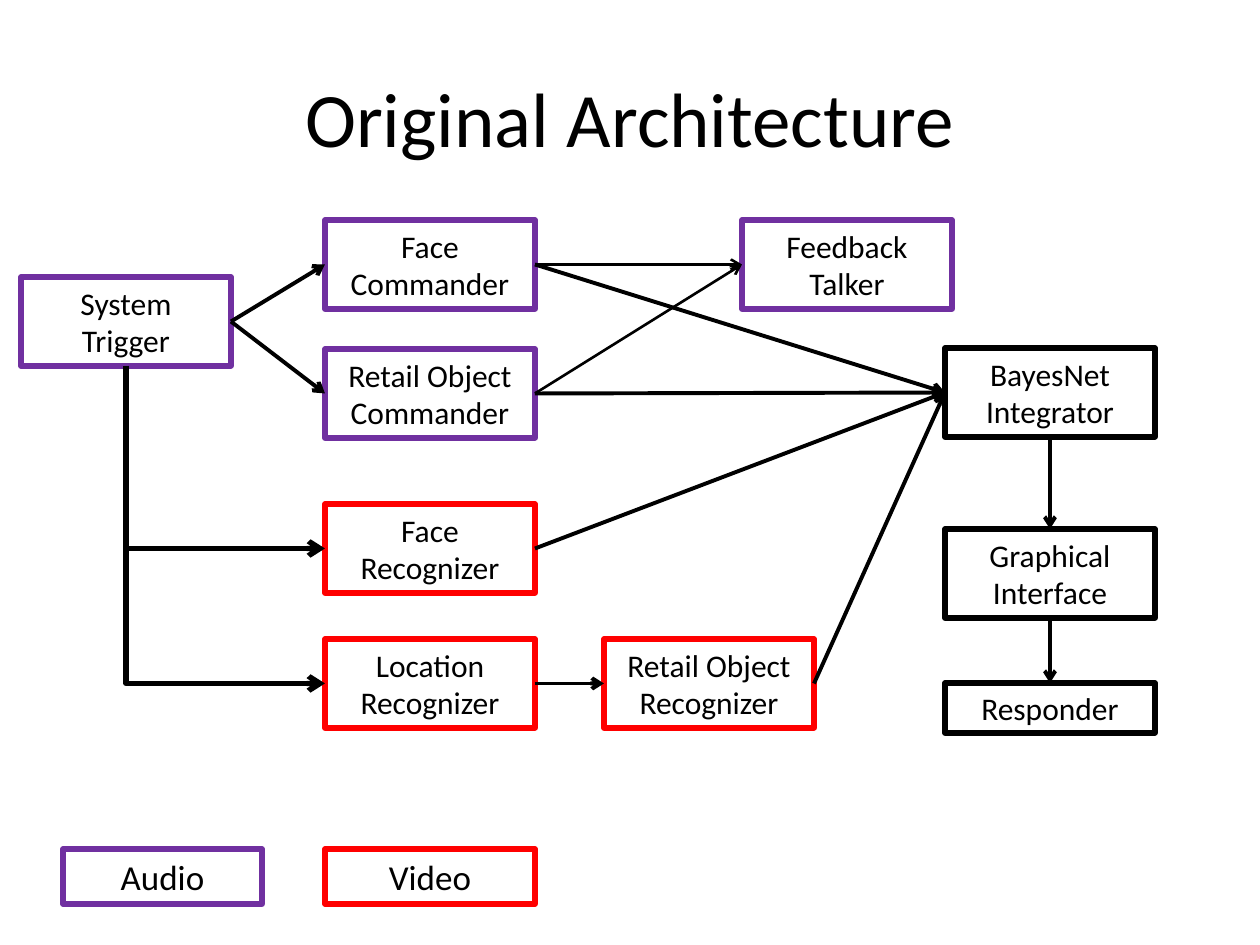
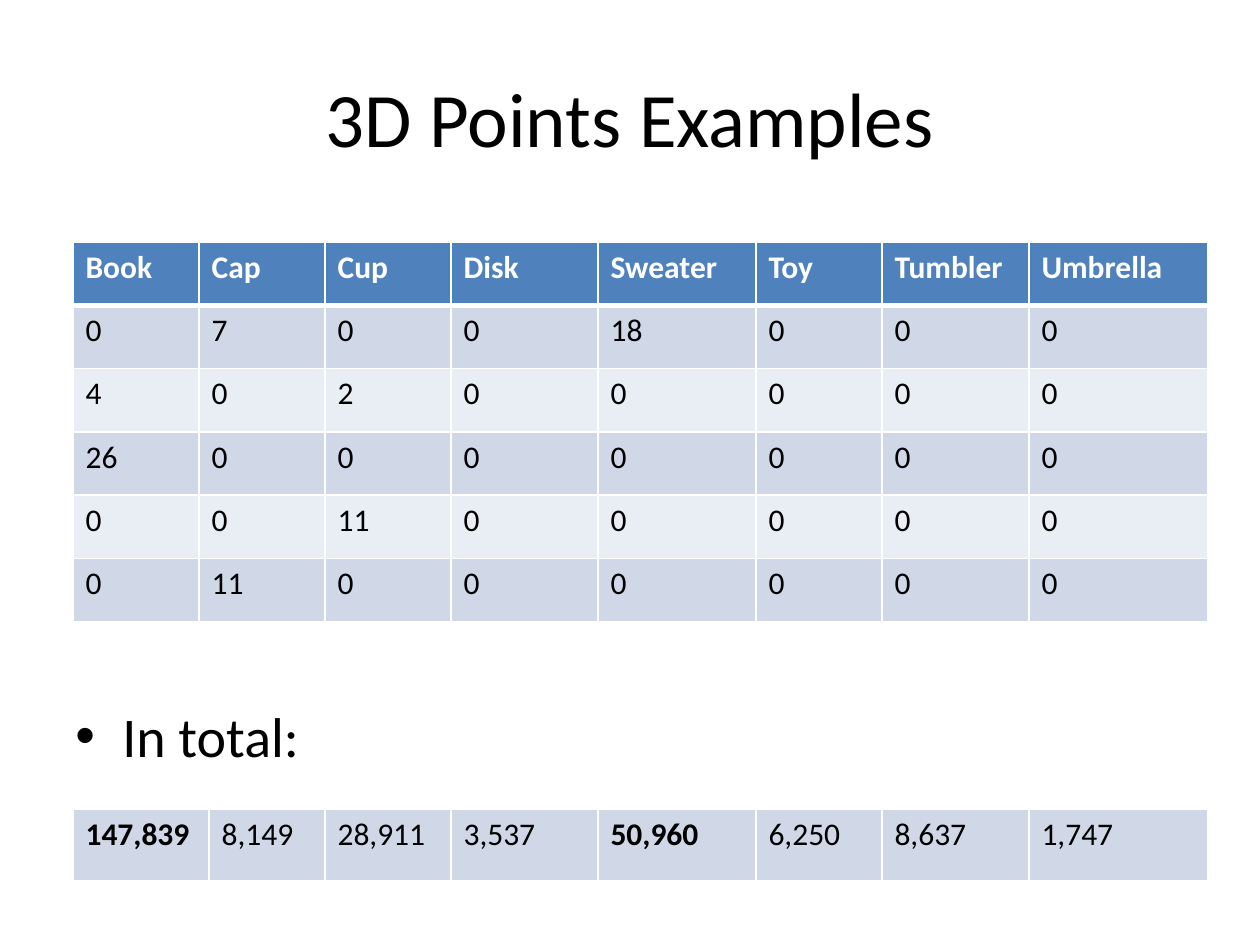
import pptx
import pptx.util
import pptx.dml.color
import pptx.enum.shapes
import pptx.enum.text
import pptx.oxml.ns
import lxml.etree

COLOURS = {
    "text": "000000", "paper": "FFFFFF", "audio": "7030A0", "video": "FF0000",
    "output": "000000", "header": "4F81BD", "band_dark": "D0D8E8", "band_light": "E9EDF4",
}
FONT = "Calibri"
SCALE = 914400 / 126
TITLE_BOX = (63, 38, 1134, 157)
TOP, LEFT, BOTTOM, RIGHT = range(4)
CENTRE = pptx.enum.text.PP_ALIGN.CENTER
MIDDLE = pptx.enum.text.MSO_ANCHOR.MIDDLE
CONNECTOR = pptx.enum.shapes.MSO_CONNECTOR

NODE_WIDTH, NODE_HEIGHT = 210, 89
NODES = {
    "trigger": ("System\nTrigger", 0, 57, NODE_HEIGHT, "audio"),
    "face commander": ("Face\nCommander", 304, 0, NODE_HEIGHT, "audio"),
    "object commander": ("Retail Object\nCommander", 304, 129, NODE_HEIGHT, "audio"),
    "talker": ("Feedback\nTalker", 721, 0, NODE_HEIGHT, "audio"),
    "face recognizer": ("Face\nRecognizer", 304, 284, NODE_HEIGHT, "video"),
    "location recognizer": ("Location\nRecognizer", 304, 419, NODE_HEIGHT, "video"),
    "object recognizer": ("Retail Object\nRecognizer", 583, 419, NODE_HEIGHT, "video"),
    "integrator": ("BayesNet\nIntegrator", 924, 128, NODE_HEIGHT, "output"),
    "interface": ("Graphical Interface", 924, 309, NODE_HEIGHT, "output"),
    "responder": ("Responder", 924, 463, 50, "output"),
}
SIDEWAYS_ARROWS = [
    ("trigger", "face commander", 2.25),
    ("trigger", "object commander", 2.25),
    ("face commander", "talker", 1.5),
    ("object commander", "talker", 1.5),
    ("location recognizer", "object recognizer", 2.25),
    ("face commander", "integrator", 2.25),
    ("object commander", "integrator", 2.25),
    ("face recognizer", "integrator", 2.25),
    ("object recognizer", "integrator", 2.25),
]
DOWNWARD_ARROWS = [("integrator", "interface"), ("interface", "responder")]
BENT_ARROWS = [("trigger", "face recognizer"), ("trigger", "location recognizer")]

POINT_COLUMNS = [126, 126, 126, 147, 158, 126, 147, 179]
TOTAL_COLUMNS = [136, 116] + POINT_COLUMNS[2:]
POINTS = [
    ["Book", "Cap", "Cup", "Disk", "Sweater", "Toy", "Tumbler", "Umbrella"],
    [0, 7, 0, 0, 18, 0, 0, 0],
    [4, 0, 2, 0, 0, 0, 0, 0],
    [26, 0, 0, 0, 0, 0, 0, 0],
    [0, 0, 11, 0, 0, 0, 0, 0],
    [0, 11, 0, 0, 0, 0, 0, 0],
]
TOTALS = [["147,839", "8,149", "28,911", "3,537", "50,960", "6,250", "8,637", "1,747"]]


def emu(pixels):
    return pptx.util.Emu(round(pixels * SCALE))


def colour(name):
    return pptx.dml.color.RGBColor.from_string(COLOURS[name])


def add_child(parent, tag, **attributes):
    return lxml.etree.SubElement(parent, pptx.oxml.ns.qn(tag), attributes)


def write(text_frame, text, size, name="text", bold=False, alignment=None):
    text_frame.text = text
    text_frame.word_wrap = True
    for paragraph in text_frame.paragraphs:
        paragraph.alignment = alignment
        for run in paragraph.runs:
            run.font.name = FONT
            run.font.size = pptx.util.Pt(size)
            run.font.bold = bold
            run.font.color.rgb = colour(name)


def add_title(slide, text, box):
    shape = slide.shapes.add_textbox(*map(emu, box))
    write(shape.text_frame, text, 44, alignment=CENTRE)
    shape.text_frame.vertical_anchor = MIDDLE


def add_bullet(slide, text, box):
    shape = slide.shapes.add_textbox(*map(emu, box))
    write(shape.text_frame, text, 32)
    properties = shape.text_frame.paragraphs[0]._p.get_or_add_pPr()
    indent = emu(47)
    properties.set("marL", str(indent))
    properties.set("indent", str(-indent))
    add_child(properties, "a:buFont", typeface="Arial")
    add_child(properties, "a:buChar", char="•")


def add_node(slide, text, box, outline, size=18):
    shape = slide.shapes.add_shape(
        pptx.enum.shapes.MSO_SHAPE.RECTANGLE, *map(emu, box))
    shape.shadow.inherit = False
    shape.fill.background()
    shape.line.color.rgb = colour(outline)
    shape.line.width = pptx.util.Pt(3)
    write(shape.text_frame, text, size, alignment=CENTRE)
    shape.text_frame.vertical_anchor = MIDDLE
    return shape


def add_arrow(slide, source, source_side, target, target_side, width, kind=CONNECTOR.STRAIGHT):
    arrow = slide.shapes.add_connector(kind, 0, 0, 0, 0)
    arrow.begin_connect(source, source_side)
    arrow.end_connect(target, target_side)
    arrow.line.color.rgb = colour("text")
    arrow.line.width = pptx.util.Pt(width)
    add_child(arrow.line._get_or_add_ln(), "a:tailEnd", type="arrow")
    add_child(arrow._element.spPr, "a:effectLst")
    return arrow


def add_bent_arrow(slide, source, target):
    arrow = add_arrow(slide, source, BOTTOM, target, LEFT, 3, CONNECTOR.ELBOW)
    across, down = arrow.width, arrow.height
    arrow.left += (across - down) // 2
    arrow.top += (down - across) // 2
    arrow.width, arrow.height = down, across
    properties = arrow._element.spPr
    properties.xfrm.set("rot", str(270 * 60000))
    properties.xfrm.set("flipH", "1")
    properties.find(pptx.oxml.ns.qn("a:prstGeom")).set("prst", "bentConnector2")


def add_diagram(slide, left, top):
    nodes = {}
    for name, (text, x, y, height, outline) in NODES.items():
        box = (left + x, top + y, NODE_WIDTH, height)
        nodes[name] = add_node(slide, text, box, outline)
    for source, target, width in SIDEWAYS_ARROWS:
        add_arrow(slide, nodes[source], RIGHT, nodes[target], LEFT, width)
    for source, target in DOWNWARD_ARROWS:
        add_arrow(slide, nodes[source], BOTTOM, nodes[target], TOP, 2.25)
    for source, target in BENT_ARROWS:
        add_bent_arrow(slide, nodes[source], nodes[target])


def add_legend(slide, left, top):
    add_node(slide, "Audio", (left, top, 199, 55), "audio", 20)
    video = add_node(slide, "Video", (left + 262, top, NODE_WIDTH, 55), "video", 20)
    video.fill.solid()
    video.fill.fore_color.rgb = colour("paper")


def set_borders(cell, top, bottom):
    properties = cell._tc.get_or_add_tcPr()
    for tag, width in (("a:lnL", 1), ("a:lnR", 1), ("a:lnT", top), ("a:lnB", bottom)):
        line = add_child(properties, tag, w=str(pptx.util.Pt(width)))
        fill = add_child(line, "a:solidFill")
        add_child(fill, "a:srgbClr", val=COLOURS["paper"])


def add_data_table(slide, rows, columns, left, top, height, header=False, bold_columns=()):
    frame = slide.shapes.add_table(
        len(rows), len(columns), emu(left), emu(top), emu(sum(columns)), emu(height))
    table = frame.table
    table.first_row = header
    table.horz_banding = False
    for column, width in zip(table.columns, columns):
        column.width = emu(width)
    for row_index, values in enumerate(rows):
        is_header = header and row_index == 0
        band = "band_dark" if (row_index - header) % 2 == 0 else "band_light"
        for column_index, value in enumerate(values):
            cell = table.cell(row_index, column_index)
            set_borders(cell, 3 if header and row_index == 1 else 1, 3 if is_header else 1)
            cell.fill.solid()
            cell.fill.fore_color.rgb = colour("header" if is_header else band)
            write(cell.text_frame, str(value), 18, "paper" if is_header else "text",
                  is_header or column_index in bold_columns)


def add_slide(presentation, title):
    slide = presentation.slides.add_slide(presentation.slide_layouts[6])
    add_title(slide, title, TITLE_BOX)
    return slide


def build_architecture(presentation):
    slide = add_slide(presentation, "Original Architecture")
    add_diagram(slide, 21, 220)
    add_legend(slide, 63, 849)


def build_points(presentation):
    slide = add_slide(presentation, "3D Points Examples")
    add_data_table(slide, POINTS, POINT_COLUMNS, 73, 242, 380, header=True)
    add_bullet(slide, "In total:", (63, 695, 1134, 80))
    add_data_table(slide, TOTALS, TOTAL_COLUMNS, 73, 809, 72, bold_columns=(0, 4))


presentation = pptx.Presentation()
presentation.slide_width = emu(1260)
presentation.slide_height = emu(945)
build_architecture(presentation)
build_points(presentation)
presentation.save("out.pptx")
